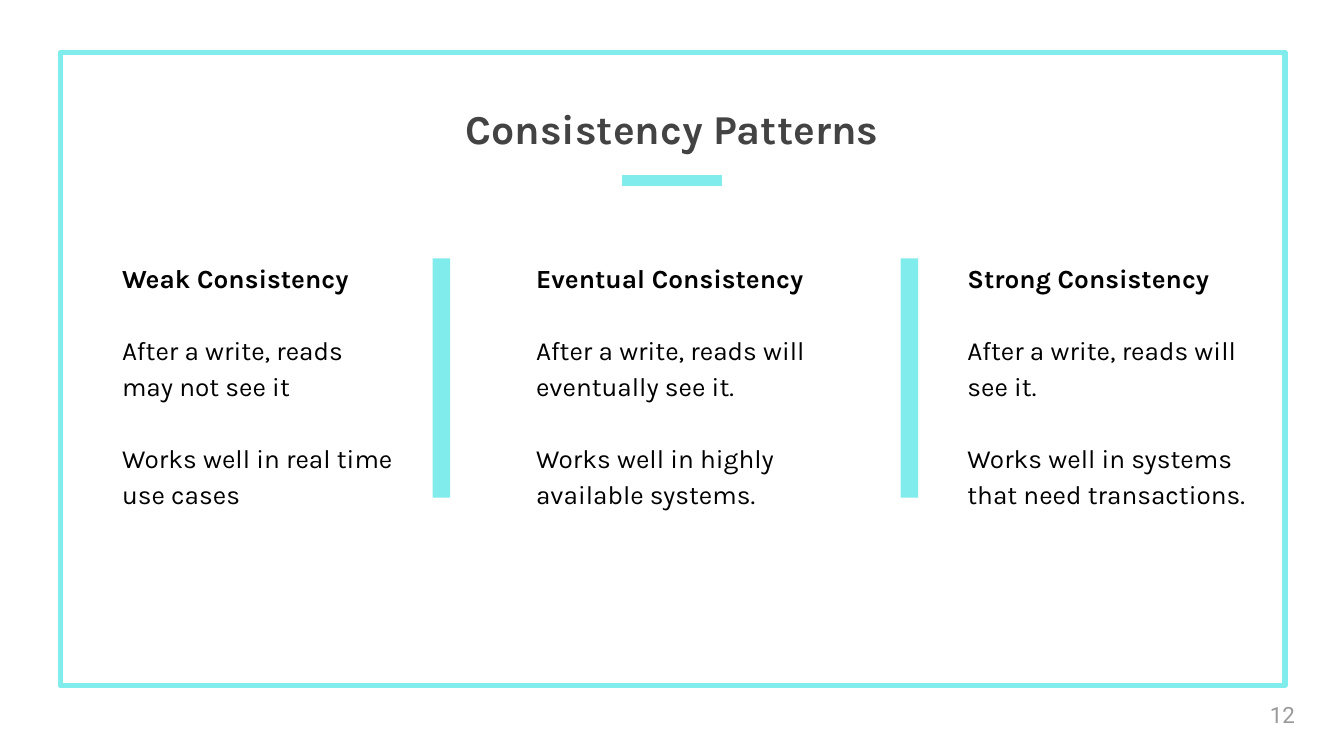
import pptx
import pptx.util
import pptx.dml.color
import pptx.enum.shapes
import pptx.enum.text
from lxml import etree
from pptx.oxml.ns import qn

Pt = pptx.util.Pt
RGBColor = pptx.dml.color.RGBColor
Anchor = pptx.enum.text.MSO_ANCHOR
Align = pptx.enum.text.PP_ALIGN

AQUA = RGBColor(0x81, 0xEC, 0xEC)
CHARCOAL = RGBColor(0x43, 0x43, 0x43)
GRAY = RGBColor(0x99, 0x99, 0x99)
BLACK = RGBColor(0, 0, 0)
WHITE = RGBColor(0xFF, 0xFF, 0xFF)

INSET = 7.2
BLANK_LINE = 19.3
COLUMNS = [
    ((58.3, 131, 161.3, 155.5), "Weak Consistency",
     "After a write, reads may not see it",
     "Works well in real time use cases"),
    ((280.1, 131, 183.6, 155.5), "Eventual Consistency",
     "After a write, reads will eventually see it.",
     "Works well in highly available systems."),
    ((511.2, 131, 167.8, 155.5), "Strong Consistency",
     "After a write, reads will see it.",
     "Works well in systems that need transactions."),
]
DIVIDER_LEFTS = (231.8, 482.5)


def add_text_frame(slide, box, anchor=Anchor.TOP):
    """Add a wrapping text box and return its text frame."""
    frame = slide.shapes.add_textbox(*map(Pt, box)).text_frame
    frame.word_wrap = True
    frame.vertical_anchor = anchor
    frame.margin_left = frame.margin_right = Pt(INSET)
    frame.margin_top = frame.margin_bottom = Pt(INSET)
    return frame


def add_run(paragraph, text, size, color, bold=False, font="Karla"):
    """Add one formatted run to a paragraph."""
    run = paragraph.add_run()
    run.text = text
    run.font.name = font
    run.font.size = Pt(size)
    run.font.bold = bold
    run.font.color.rgb = color


def add_rectangle(slide, box):
    """Add a rectangle without shadow."""
    shape = slide.shapes.add_shape(
        pptx.enum.shapes.MSO_SHAPE.RECTANGLE, *map(Pt, box))
    shape.shadow.inherit = False
    return shape


def add_border(slide, box):
    """Add the unfilled border with rounded line joins."""
    border = add_rectangle(slide, box)
    border.fill.background()
    border.line.color.rgb = AQUA
    border.line.width = Pt(3)
    etree.SubElement(border.line._get_or_add_ln(), qn("a:round"))


def add_heading(slide, box):
    """Add the centred title and the short rule beneath it."""
    left, top, width, height = box
    frame = add_text_frame(slide, box, Anchor.BOTTOM)
    paragraph = frame.paragraphs[0]
    paragraph.alignment = Align.CENTER
    add_run(paragraph, "Consistency Patterns", 22, CHARCOAL, bold=True)
    center, rule_top = left + width / 2, top + height + 7.2
    rule = slide.shapes.add_connector(
        pptx.enum.shapes.MSO_CONNECTOR.STRAIGHT,
        Pt(center - 26.7), Pt(rule_top), Pt(center + 26.7), Pt(rule_top))
    rule.line.color.rgb = AQUA
    rule.line.width = Pt(6)
    etree.SubElement(rule._element.spPr, qn("a:effectLst"))


def add_column(slide, box, heading, *statements):
    """Add a bold heading followed by spaced statements."""
    frame = add_text_frame(slide, box)
    for index, text in enumerate((heading, *statements)):
        paragraph = frame.add_paragraph() if index else frame.paragraphs[0]
        paragraph.line_spacing = 1.15
        paragraph.space_before = Pt(BLANK_LINE if index else 0)
        add_run(paragraph, text, 14, BLACK, bold=index == 0)


def add_divider(slide, box):
    """Add a solid vertical bar between columns."""
    divider = add_rectangle(slide, box)
    divider.fill.solid()
    divider.fill.fore_color.rgb = AQUA
    divider.line.fill.background()


def add_page_number(slide, box):
    """Add the page number."""
    frame = add_text_frame(slide, box, Anchor.MIDDLE)
    add_run(frame.paragraphs[0], "12", 12, GRAY, font="Roboto")


def main():
    """Build and save the slide."""
    presentation = pptx.Presentation()
    presentation.slide_width, presentation.slide_height = Pt(720), Pt(405)
    slide = presentation.slides.add_slide(presentation.slide_layouts[6])
    slide.background.fill.solid()
    slide.background.fill.fore_color.rgb = WHITE
    add_border(slide, (32.4, 28.1, 655.9, 339.1))
    add_heading(slide, (0, 17.3, 720, 72))
    add_page_number(slide, (673.2, 367.2, 43.2, 31))
    for box, heading, *statements in COLUMNS:
        add_column(slide, box, heading, *statements)
    for left in DIVIDER_LEFTS:
        add_divider(slide, (left, 138.4, 9.4, 128.2))
    presentation.save("out.pptx")


if __name__ == "__main__":
    main()
